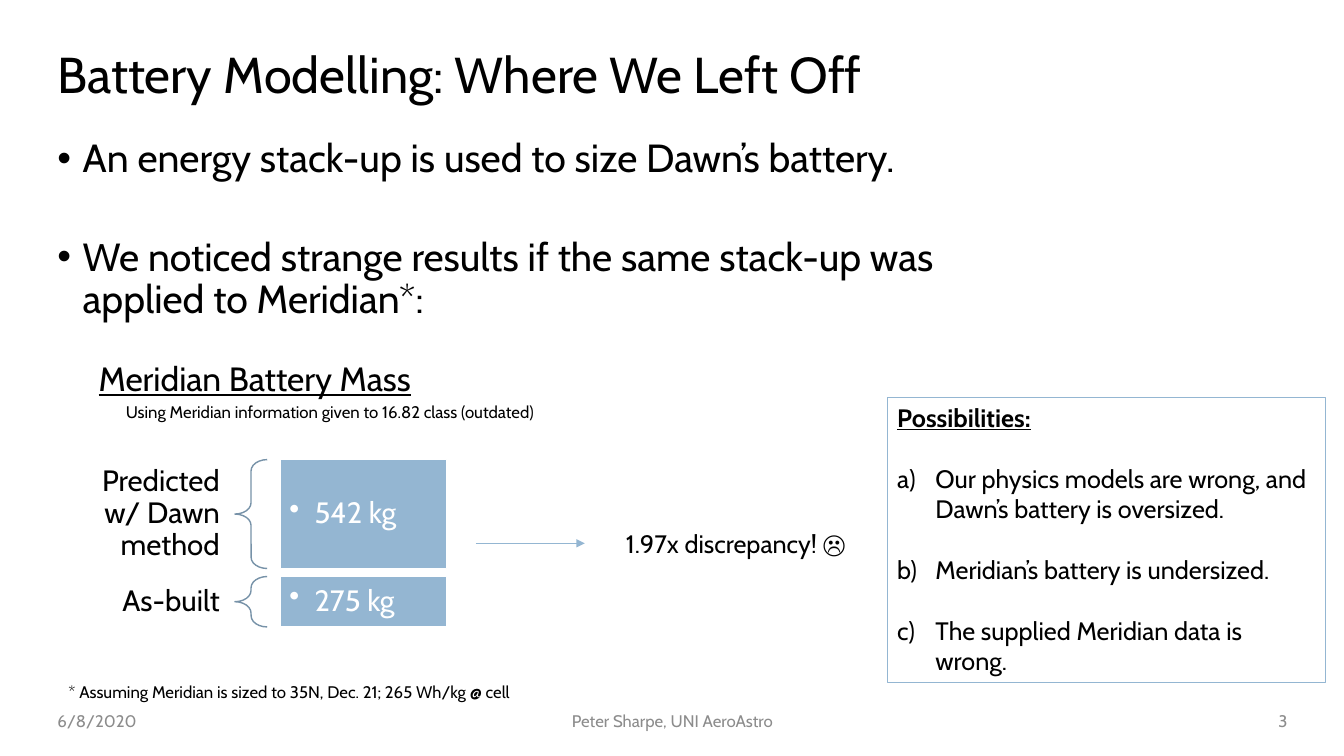
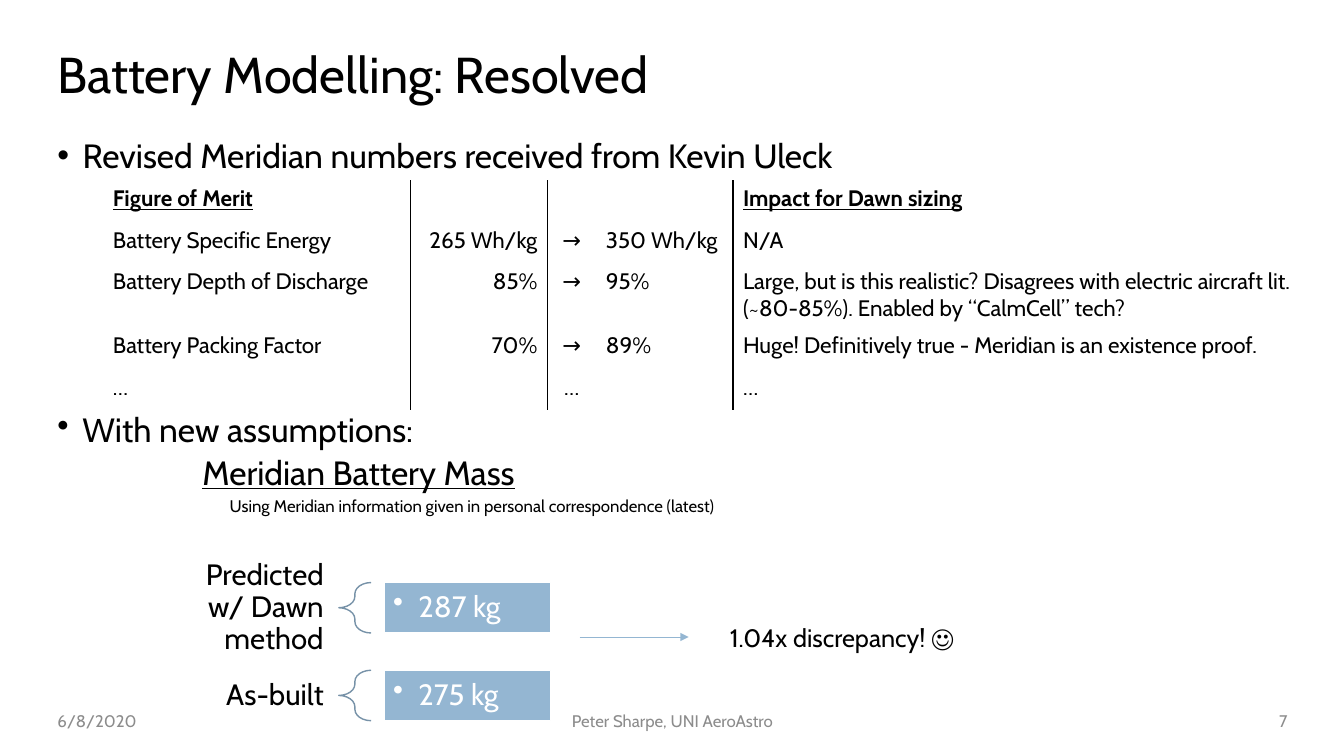
from copy import deepcopy

from lxml.etree import SubElement
from pptx import Presentation
from pptx.dml.color import RGBColor
from pptx.enum.shapes import MSO_CONNECTOR, MSO_SHAPE
from pptx.enum.text import MSO_ANCHOR, MSO_AUTO_SIZE, PP_ALIGN
from pptx.oxml.ns import qn
from pptx.util import Inches, Pt

# Shared style
FONT = "Cabin"
BLACK, GREY, WHITE = "000000", "8C8C8C", "FFFFFF"
BLUE, BRACE_BLUE = "94B6D2", "7792A8"
LEFT, CENTER, RIGHT = PP_ALIGN.LEFT, PP_ALIGN.CENTER, PP_ALIGN.RIGHT
MARGIN, CONTENT_WIDTH = 0.47, 12.4
NO_STYLE_TABLE = "{2D5ABB26-0587-4C30-8999-92F81FD0307C}"

# Layout placeholders: index -> left, top, width, height
PLACEHOLDERS = {
    0: (MARGIN, 0.4, CONTENT_WIDTH, 0.73),
    1: (MARGIN, 1.33, CONTENT_WIDTH, 0.51),
    10: (MARGIN, 6.95, 1.31, 0.4),
    11: (1.92, 6.95, 9.5, 0.4),
    12: (11.56, 6.95, 1.31, 0.4),
}
DATE, AUTHOR = "6/8/2020", "Peter Sharpe, UNI AeroAstro"

# Slide content
LEFT_OFF = {
    "title": "Battery Modelling: Where We Left Off",
    "number": "3",
    "bullets": [
        "An energy stack-up is used to size Dawn’s battery.",
        "We noticed strange results if the same stack-up was applied to Meridian*:",
    ],
    "footnote": "* Assuming Meridian is sized to 35N, Dec. 21; 265 Wh/kg @ cell",
    "possibilities": [
        "Our physics models are wrong, and Dawn’s battery is oversized.",
        "Meridian’s battery is undersized.",
        "The supplied Meridian data is wrong.",
    ],
    "masses": {
        "origin": (0.73, 3.5),
        "note": "Using Meridian information given to 16.82 class (outdated)",
        "predicted": ("542 kg", 1.08),
        "result": "1.97x discrepancy! ☹",
    },
}
RESOLVED = {
    "title": "Battery Modelling: Resolved",
    "number": "7",
    "bullets": ["Revised Meridian numbers received from Kevin Uleck"],
    "second_bullet": "With new assumptions:",
    "table": [
        ("Figure of Merit", "", "", "", "Impact for Dawn sizing"),
        ("Battery Specific Energy", "265 Wh/kg", "→", "350 Wh/kg", "N/A"),
        ("Battery Depth of Discharge", "85%", "→", "95%",
         "Large, but is this realistic? Disagrees with electric aircraft lit. "
         "(~80-85%). Enabled by “CalmCell” tech?"),
        ("Battery Packing Factor", "70%", "→", "89%",
         "Huge! Definitively true - Meridian is an existence proof."),
        ("…", "", "…", "", "…"),
    ],
    "masses": {
        "origin": (1.76, 4.43),
        "note": "Using Meridian information given in personal correspondence (latest)",
        "predicted": ("287 kg", 0.5),
        "result": "1.04x discrepancy! ☺",
    },
}
COLUMNS = [(3.05, LEFT), (1.36, RIGHT), (0.48, CENTER), (1.36, LEFT), (5.88, LEFT)]
ROW_HEIGHTS = [0.41, 0.41, 0.63, 0.41, 0.41]
RULED_SIDES = {0: "R", 1: "L", 3: "R", 4: "L"}


def color(hex_string):
    return RGBColor.from_string(hex_string)


def box(*lengths):
    return [Inches(length) for length in lengths]


def add_paragraph(paragraph, text, size=18, font_color=BLACK, bold=False, underline=False,
                  align=LEFT, line=1.0, before=0, bullet=None, indent=0.25):
    """Write one formatted paragraph; bullet is a character or "a)" for letters."""
    paragraph.alignment = align
    paragraph.line_spacing = line
    paragraph.space_before = Pt(before)
    run = paragraph.add_run()
    run.text = text
    font = run.font
    font.name, font.size, font.bold, font.underline = FONT, Pt(size), bold, underline
    font.color.rgb = color(font_color)
    if bullet:
        properties = paragraph._p.get_or_add_pPr()
        properties.set("marL", str(Inches(indent)))
        properties.set("indent", str(-Inches(indent)))
        if bullet == "a)":
            SubElement(properties, qn("a:buAutoNum"), type="alphaLcParenR")
        else:
            SubElement(properties, qn("a:buChar"), char=bullet)


def write(shape, text, anchor=MSO_ANCHOR.TOP, insets=(0.1, 0.05), **text_format):
    """Put a single paragraph in a shape and fix its frame."""
    frame = shape.text_frame
    frame.clear()
    frame.word_wrap = True
    frame.auto_size = MSO_AUTO_SIZE.NONE
    frame.vertical_anchor = anchor
    frame.margin_left = frame.margin_right = Inches(insets[0])
    frame.margin_top = frame.margin_bottom = Inches(insets[1])
    add_paragraph(frame.paragraphs[0], text, **text_format)
    return frame


def add_text(shapes, position, text, **text_format):
    return write(shapes.add_textbox(*box(*position)), text, **text_format)


def add_outline(shapes, kind, position, line_color, width, fill=None):
    shape = shapes.add_shape(kind, *box(*position))
    shape.shadow.inherit = False
    shape.line.color.rgb = color(line_color)
    shape.line.width = Pt(width)
    if fill:
        shape.fill.solid()
        shape.fill.fore_color.rgb = color(fill)
    else:
        shape.fill.background()
    return shape


def add_arrow(shapes, start, end):
    arrow = shapes.add_connector(MSO_CONNECTOR.STRAIGHT, *box(*start, *end))
    arrow.line.color.rgb = color(BLUE)
    arrow.line.width = Pt(0.5)
    properties = arrow._element.spPr
    SubElement(properties.find(qn("a:ln")), qn("a:tailEnd"), type="triangle")
    SubElement(properties, qn("a:effectLst"))


def add_masses(slide, origin, note, predicted, result):
    """Heading, two braced mass bars and the resulting discrepancy."""
    shapes = slide.shapes.add_group_shape().shapes
    left, top = origin
    add_text(shapes, (left + 0.15, top, 3.66, 0.5), "Meridian Battery Mass",
             size=24, underline=True)
    add_text(shapes, (left + 0.42, top + 0.44, 7.5, 0.3), note, size=12)
    bars = [("Predicted w/ Dawn method", *predicted, 1.6, 1.08),
            ("As-built", "275 kg", 0.5, 2.47, 0.45)]
    for label, mass, height, offset, label_height in bars:
        middle = top + offset
        bar_top = middle - height / 2
        add_text(shapes, (left, middle - label_height / 2, 1.61, label_height), label,
                 size=21, align=RIGHT, line=0.9, anchor=MSO_ANCHOR.MIDDLE, insets=(0.16, 0.06))
        brace = add_outline(shapes, MSO_SHAPE.LEFT_BRACE, (left + 1.6, bar_top, 0.32, height),
                            BRACE_BLUE, 1)
        brace.adjustments[0] = 0.35
        bar = add_outline(shapes, MSO_SHAPE.RECTANGLE, (left + 2.05, bar_top, 1.65, height),
                          WHITE, 1, fill=BLUE)
        write(bar, mass, size=21, font_color=WHITE, line=0.9, bullet="•",
              anchor=MSO_ANCHOR.MIDDLE, insets=(0.09, 0.09))
    arrow_top = top + 1.89
    add_arrow(shapes, (left + 3.99, arrow_top), (left + 5.07, arrow_top))
    add_text(shapes, (left + 5.38, arrow_top - 0.2, 2.53, 0.4), result)


def add_merit_table(slide, rows):
    position = box(1.02, 1.79, sum(width for width, _ in COLUMNS), sum(ROW_HEIGHTS))
    table = slide.shapes.add_table(len(rows), len(COLUMNS), *position).table
    table.first_row = table.horz_banding = False
    table._tbl.tblPr.find(qn("a:tableStyleId")).text = NO_STYLE_TABLE
    for column, (width, _) in zip(table.columns, COLUMNS):
        column.width = Inches(width)
    for row_index, texts in enumerate(rows):
        table.rows[row_index].height = Inches(ROW_HEIGHTS[row_index])
        heading = row_index == 0
        for column_index, text in enumerate(texts):
            cell = table.cell(row_index, column_index)
            add_paragraph(cell.text_frame.paragraphs[0], text, size=16, bold=heading,
                          underline=heading, align=COLUMNS[column_index][1])
            if column_index in RULED_SIDES:
                rule_border(cell, RULED_SIDES[column_index])
            cell.fill.background()


def rule_border(cell, side):
    border = SubElement(cell._tc.get_or_add_tcPr(), qn("a:ln" + side), w=str(Pt(1)))
    SubElement(SubElement(border, qn("a:solidFill")), qn("a:srgbClr"), val=BLACK)


def prepare_layout(presentation):
    layout = presentation.slide_layouts[1]
    for placeholder in layout.placeholders:
        position = box(*PLACEHOLDERS[placeholder.placeholder_format.idx])
        placeholder.left, placeholder.top, placeholder.width, placeholder.height = position
    return layout


def add_slide(presentation, layout, content, bullet_size):
    """Slide with title, bullet list and footers."""
    slide = presentation.slides.add_slide(layout)
    for placeholder in layout.placeholders:
        if placeholder.placeholder_format.idx >= 10:
            slide.shapes.element.append(deepcopy(placeholder._element))
    footers = {10: (DATE, LEFT), 11: (AUTHOR, CENTER), 12: (content["number"], RIGHT)}
    for index, (text, align) in footers.items():
        write(slide.placeholders[index], text, size=12, font_color=GREY, align=align,
              anchor=MSO_ANCHOR.MIDDLE)
    write(slide.shapes.title, content["title"], size=36, line=0.9, anchor=MSO_ANCHOR.MIDDLE)
    bullet_format = dict(size=bullet_size, line=0.9, bullet="•")
    first, *others = content["bullets"]
    frame = write(slide.placeholders[1], first, before=10, **bullet_format)
    for text in others:
        add_paragraph(frame.add_paragraph(), text, before=40, **bullet_format)
    return slide


def build_left_off(presentation, layout):
    slide = add_slide(presentation, layout, LEFT_OFF, 28)
    body = slide.placeholders[1]
    body.left, body.top, body.width, body.height = box(MARGIN, 1.33, 9.96, 1.99)
    add_text(slide.shapes, (0.58, 6.71, 7.5, 0.3), LEFT_OFF["footnote"], size=12)
    panel = add_outline(slide.shapes, MSO_SHAPE.RECTANGLE, (8.8, 3.94, 4.35, 2.83), BLUE, 0.75)
    frame = write(panel, "Possibilities:", bold=True, underline=True)
    for text in LEFT_OFF["possibilities"]:
        add_paragraph(frame.add_paragraph(), text, before=22, bullet="a)", indent=0.38)
    add_masses(slide, **LEFT_OFF["masses"])


def build_resolved(presentation, layout):
    slide = add_slide(presentation, layout, RESOLVED, 24)
    add_merit_table(slide, RESOLVED["table"])
    add_text(slide.shapes, (MARGIN, 4.05, CONTENT_WIDTH, 0.51), RESOLVED["second_bullet"],
             size=24, line=0.9, before=10, bullet="•")
    add_masses(slide, **RESOLVED["masses"])


def main():
    presentation = Presentation()
    presentation.slide_width, presentation.slide_height = box(13.33, 7.5)
    layout = prepare_layout(presentation)
    build_left_off(presentation, layout)
    build_resolved(presentation, layout)
    presentation.save("out.pptx")


if __name__ == "__main__":
    main()
